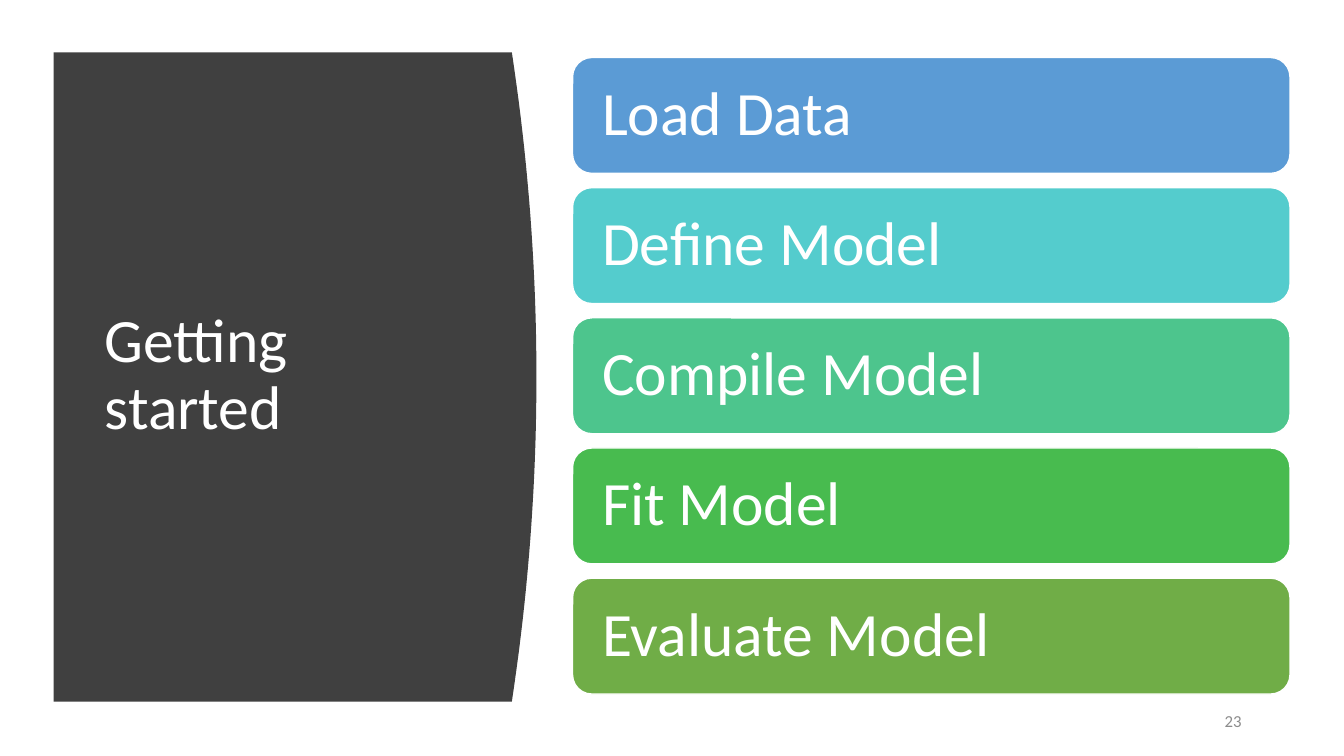
"""Build the "Getting started" slide with five model workflow steps."""
from pptx import Presentation
from pptx.dml.color import RGBColor
from pptx.enum.shapes import MSO_SHAPE
from pptx.enum.text import MSO_ANCHOR, MSO_AUTO_SIZE, PP_ALIGN
from pptx.util import Cm, Pt

WHITE = RGBColor(0xFF, 0xFF, 0xFF)
CHARCOAL = RGBColor(0x40, 0x40, 0x40)
GREY = RGBColor(0x8C, 0x8C, 0x8C)
BLUE = RGBColor(0x5B, 0x9B, 0xD5)
TURQUOISE = RGBColor(0x54, 0xCC, 0xCD)
MINT = RGBColor(0x4D, 0xC5, 0x8D)
GREEN = RGBColor(0x48, 0xBB, 0x4F)
OLIVE = RGBColor(0x70, 0xAD, 0x47)

STEPS = [
    ("Load Data", BLUE),
    ("Define Model", TURQUOISE),
    ("Compile Model", MINT),
    ("Fit Model", GREEN),
    ("Evaluate Model", OLIVE),
]
STEP_TOP, STEP_PITCH = 1.45, 3.28
PANEL_LEFT, PANEL_TOP, PANEL_EDGE, PANEL_BOTTOM = 1.35, 1.32, 12.9, 17.68
BULGE, CURVE_PARTS = 0.62, 40


def write_text(box, text, size, color, align, spacing, inset):
    """Fill a box with one formatted, vertically centred paragraph."""
    frame = box.text_frame
    frame.text = text
    frame_format = {
        "word_wrap": True,
        "auto_size": MSO_AUTO_SIZE.NONE,
        "vertical_anchor": MSO_ANCHOR.MIDDLE,
        "margin_left": Cm(inset),
        "margin_right": Cm(inset),
    }
    for name, value in frame_format.items():
        setattr(frame, name, value)
    para = frame.paragraphs[0]
    para.alignment = align
    para.line_spacing = spacing
    span = para.runs[0]
    for name, value in {"name": "Calibri", "size": Pt(size)}.items():
        setattr(span.font, name, value)
    span.font.color.rgb = color


deck = Presentation()
deck.slide_width, deck.slide_height = Cm(33.87), Cm(19.05)
page = deck.slides.add_slide(deck.slide_layouts[5])

title = page.shapes.title
title_place = {"left": 2.39, "top": 2.82, "width": 9.5, "height": 13.31}
for name, value in title_place.items():
    setattr(title, name, Cm(value))
write_text(title, "Getting started", 44, WHITE, PP_ALIGN.LEFT, 0.9, 0.25)

curve = []
for part in range(CURVE_PARTS + 1):
    share = part / CURVE_PARTS
    x = PANEL_EDGE + BULGE * 4 * share * (1 - share)
    y = PANEL_TOP + (PANEL_BOTTOM - PANEL_TOP) * share
    curve.append((Cm(x), Cm(y)))
outline = page.shapes.build_freeform(Cm(PANEL_LEFT), Cm(PANEL_TOP))
outline.add_line_segments(curve + [(Cm(PANEL_LEFT), Cm(PANEL_BOTTOM))], close=True)
panel = outline.convert_to_shape()
panel.shadow.inherit = False
panel.fill.solid()
panel.fill.fore_color.rgb = CHARCOAL
panel.line.fill.background()
title.element.addprevious(panel.element)

for index, (label, color) in enumerate(STEPS):
    step = page.shapes.add_shape(
        MSO_SHAPE.ROUNDED_RECTANGLE,
        Cm(14.43), Cm(STEP_TOP + index * STEP_PITCH), Cm(18.08), Cm(2.92),
    )
    step.shadow.inherit = False
    step.fill.solid()
    step.fill.fore_color.rgb = color
    step.line.color.rgb = WHITE
    step.line.width = Pt(1)
    write_text(step, label, 44, WHITE, PP_ALIGN.LEFT, 0.9, 0.6)

number = page.shapes.add_textbox(Cm(23.92), Cm(17.65), Cm(7.62), Cm(1.01))
write_text(number, "23", 12, GREY, PP_ALIGN.RIGHT, 1.0, 0.25)

deck.save("out.pptx")
